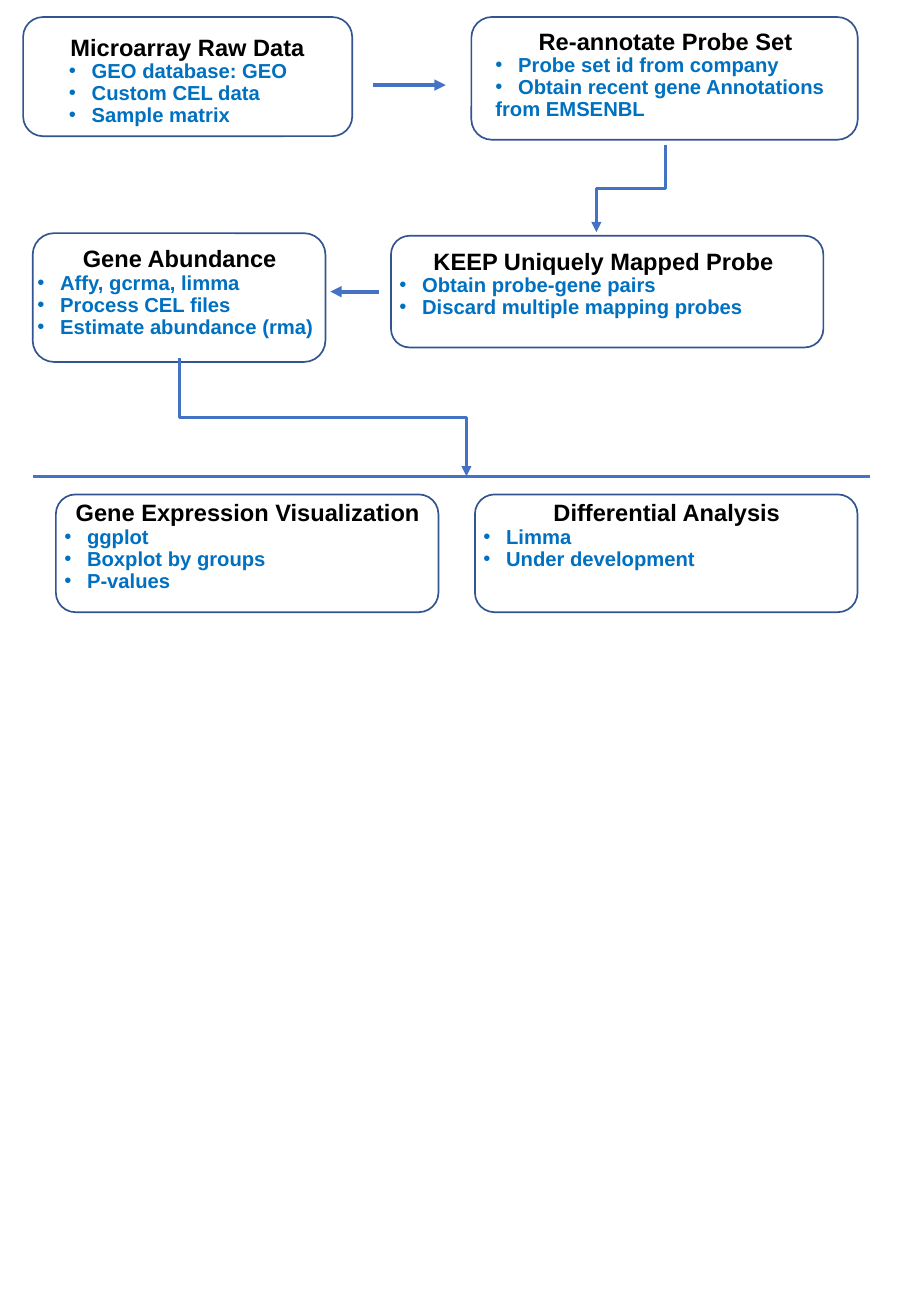
import pptx
import pptx.util
import pptx.dml.color
import pptx.enum.shapes
import pptx.enum.text
import pptx.oxml.ns
from lxml import etree

Pt = pptx.util.Pt
RGBColor = pptx.dml.color.RGBColor
BOX_EDGE = RGBColor(0x32, 0x54, 0x91)
ARROW = RGBColor(0x44, 0x72, 0xC4)
TITLE = RGBColor(0, 0, 0)
DETAIL = RGBColor(0x00, 0x70, 0xC0)


def add_xml(parent, tag, **attributes):
    return etree.SubElement(parent, pptx.oxml.ns.qn(tag), attributes)


class FlowSlide:
    """Draw the steps and links of a workflow on one slide in one style."""

    font = "Arial"
    indent = 13.5

    def __init__(self, slide):
        self.shapes = slide.shapes

    def add_words(self, paragraph, words, size, color):
        run = paragraph.add_run()
        run.text = words
        run.font.name = self.font
        run.font.size = Pt(size)
        run.font.bold = True
        run.font.color.rgb = color

    def bullet(self, paragraph):
        properties = paragraph._p.get_or_add_pPr()
        properties.set("marL", str(Pt(self.indent)))
        properties.set("indent", str(-Pt(self.indent)))
        add_xml(properties, "a:buFont", typeface=self.font)
        add_xml(properties, "a:buChar", char="•")

    def step(self, frame, text_area, title, details, closing=None, wrap=True):
        group = self.shapes.add_group_shape().shapes
        box = group.add_shape(
            pptx.enum.shapes.MSO_SHAPE.ROUNDED_RECTANGLE, *map(Pt, frame))
        box.shadow.inherit = False
        box.fill.background()
        box.line.color.rgb = BOX_EDGE
        box.line.width = Pt(1)

        text = group.add_textbox(*map(Pt, text_area)).text_frame
        text.word_wrap = wrap
        text.auto_size = pptx.enum.text.MSO_AUTO_SIZE.SHAPE_TO_FIT_TEXT
        heading = text.paragraphs[0]
        heading.alignment = pptx.enum.text.PP_ALIGN.CENTER
        self.add_words(heading, title, 14, TITLE)
        for detail in details + ([closing] if closing else []):
            paragraph = text.add_paragraph()
            paragraph.alignment = pptx.enum.text.PP_ALIGN.LEFT
            paragraph.line_spacing = Pt(13)
            if detail != closing:
                self.bullet(paragraph)
            self.add_words(paragraph, detail, 12, DETAIL)

    def link(self, start, end, width, arrow=True,
             kind=pptx.enum.shapes.MSO_CONNECTOR.STRAIGHT):
        link = self.shapes.add_connector(kind, *map(Pt, start + end))
        link.line.color.rgb = ARROW
        link.line.width = Pt(width)
        properties = link._element.spPr
        if arrow:
            outline = properties.find(pptx.oxml.ns.qn("a:ln"))
            add_xml(outline, "a:tailEnd", type="triangle")
        add_xml(properties, "a:effectLst")
        return link

    def drop(self, start, end):
        (x1, y1), (x2, y2) = start, end
        middle_x, middle_y = (x1 + x2) / 2, (y1 + y2) / 2
        half_drop, half_shift = (y2 - y1) / 2, abs(x2 - x1) / 2
        side = 1 if x2 < x1 else -1
        link = self.link(
            (middle_x - side * half_drop, middle_y - half_shift),
            (middle_x + side * half_drop, middle_y + half_shift),
            1.5, kind=pptx.enum.shapes.MSO_CONNECTOR.ELBOW)
        turn = 90 if side == 1 else 270
        link._element.spPr.xfrm.set("rot", str(turn * 60000))


deck = pptx.Presentation()
deck.slide_width, deck.slide_height = Pt(540), Pt(779.76)
flow = FlowSlide(deck.slides.add_slide(deck.slide_layouts[6]))

flow.step((13.7, 10.1, 195.1, 70.6), (33.8, 15.8, 154.8, 72),
          "Microarray Raw Data",
          ["GEO database: GEO", "Custom CEL data", "Sample matrix"], wrap=False)
flow.step((279.4, 10.1, 229, 72.7), (286.6, 12.2, 216, 69.1),
          "Re-annotate Probe Set",
          ["Probe set id from company", "Obtain recent gene Annotations"],
          closing="from EMSENBL")
flow.step((231.8, 139.7, 256.3, 66.2), (229.7, 142.6, 256.3, 50.4),
          "KEEP Uniquely Mapped Probe",
          ["Obtain probe-gene pairs", "Discard multiple mapping probes"])
flow.step((19.4, 138.2, 173.5, 76.3), (15.1, 141.1, 182.9, 63.4),
          "Gene Abundance",
          ["Affy, gcrma, limma", "Process CEL files", "Estimate abundance (rma)"])

outputs = [
    ("Gene Expression Visualization", ["ggplot", "Boxplot by groups", "P-values"]),
    ("Differential Analysis", ["Limma", "Under development"]),
]
for column, (title, details) in enumerate(outputs):
    left = 33.1 + column * 248.4
    text_height = 24.4 + 13 * len(details)
    flow.step((left, 293, 226.8, 69.8), (left - 2.1, 291.6, 231.8, text_height),
              title, details)

flow.link((19.4, 282.2), (515.5, 282.2), 1.5, arrow=False)
flow.link((221, 50.4), (264.2, 50.4), 2.25)
flow.link((224.6, 172.8), (195.8, 172.8), 2.25)
flow.drop((394.6, 85.7), (353.5, 137.5))
flow.drop((106.6, 212.4), (276.5, 282.2))

deck.save("out.pptx")
